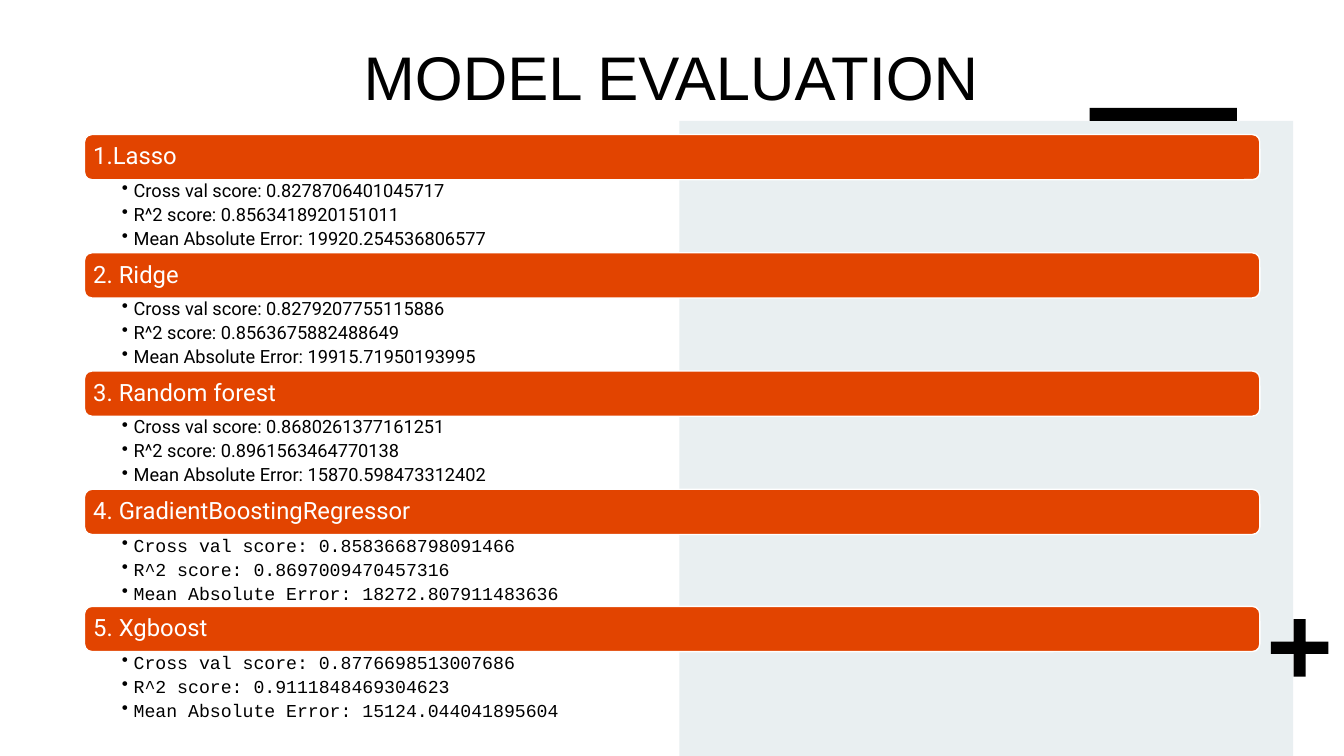
from lxml import etree
from pptx import Presentation
from pptx.dml.color import RGBColor
from pptx.enum.shapes import MSO_SHAPE as SHAPE
from pptx.enum.text import MSO_ANCHOR as ANCHOR, PP_ALIGN as ALIGN
from pptx.oxml.ns import qn
from pptx.util import Cm, Pt

BLACK = RGBColor(0x00, 0x00, 0x00)
WHITE = RGBColor(0xFF, 0xFF, 0xFF)
ORANGE = RGBColor(0xE2, 0x44, 0x00)
PALE = RGBColor(0xE9, 0xEF, 0xF1)

LEFT, WIDTH, BAR_H = 2.13, 29.62, 1.14
METRICS = ["Cross val score", "R^2 score", "Mean Absolute Error"]
MODELS = [
    ("1.Lasso", "Roboto",
     ["0.8278706401045717", "0.8563418920151011", "19920.254536806577"]),
    ("2. Ridge", "Roboto",
     ["0.8279207755115886", "0.8563675882488649", "19915.71950193995"]),
    ("3. Random forest", "Roboto",
     ["0.8680261377161251", "0.8961563464770138", "15870.598473312402"]),
    ("4. GradientBoostingRegressor", "Courier New",
     ["0.8583668798091466", "0.8697009470457316", "18272.807911483636"]),
    ("5. Xgboost", "Courier New",
     ["0.8776698513007686", "0.9111848469304623", "15124.044041895604"]),
]
BODY_H = {"Roboto": 1.84, "Courier New": 1.81}

prs = Presentation()
prs.slide_width, prs.slide_height = Cm(33.87), Cm(19.05)
s = prs.slides.add_slide(prs.slide_layouts[6])


def add_block(kind, box, fill):
    sp = s.shapes.add_shape(kind, *map(Cm, box))
    sp.shadow.inherit = False
    sp.fill.solid()
    sp.fill.fore_color.rgb = fill
    sp.line.fill.background()
    return sp


def add_text(box, lines, font, insets, para, anchor=ANCHOR.TOP):
    tf = s.shapes.add_textbox(*map(Cm, box)).text_frame
    tf.word_wrap = True
    tf.vertical_anchor = anchor
    for side, inset in zip(("left", "top", "right", "bottom"), insets):
        setattr(tf, f"margin_{side}", Cm(inset))
    for i, line in enumerate(lines):
        p = tf.add_paragraph() if i else tf.paragraphs[0]
        for name, value in para.items():
            setattr(p, name, value)
        r = p.add_run()
        r.text = line
        r.font.color.rgb = font["color"]
        r.font.name = font["name"]
        r.font.size = Pt(font["size"])
    return tf


# Background decoration
add_block(SHAPE.RECTANGLE, (17.12, 3.05, 15.47, 16), PALE)
plus = add_block(SHAPE.CROSS, (32.03, 15.6, 1.45, 1.45), BLACK)
plus.adjustments[0] = 0.395
add_block(SHAPE.RECTANGLE, (27.46, 2.72, 3.71, 0.33), BLACK)

# Title
add_text((1.3, 0.71, 31.24, 4.01), ["MODEL EVALUATION"],
         {"name": "Arial", "size": 44, "color": BLACK},
         (0.25, 0.28, 0.25, 0.13), {"alignment": ALIGN.CENTER})

# One bar with its three scores per model
top = 3.39
for model, face, scores in MODELS:
    bar = add_block(SHAPE.ROUNDED_RECTANGLE, (LEFT, top, WIDTH, BAR_H), ORANGE)
    bar.line.color.rgb = WHITE
    bar.line.width = Pt(1)
    add_text((LEFT + 0.05, top + 0.05, WIDTH - 0.1, BAR_H - 0.1), [model],
             {"name": "Roboto", "size": 17, "color": WHITE}, [0.17] * 4,
             {"line_spacing": 0.9}, ANCHOR.MIDDLE)
    top += BAR_H

    tf = add_text((LEFT, top, WIDTH, BODY_H[face]),
                  [f"{metric}: {score}" for metric, score in zip(METRICS, scores)],
                  {"name": face, "size": 13, "color": BLACK},
                  (0.94, 0.05, 0.33, 0.05),
                  {"level": 1, "line_spacing": 0.9, "space_after": Pt(3)})
    for p in tf.paragraphs:
        pPr = p._p.get_or_add_pPr()
        pPr.set("marL", str(Cm(0.3)))
        pPr.set("indent", str(-Cm(0.3)))
        etree.SubElement(pPr, qn("a:buChar")).set("char", "•")
    top += BODY_H[face]

prs.save("out.pptx")
